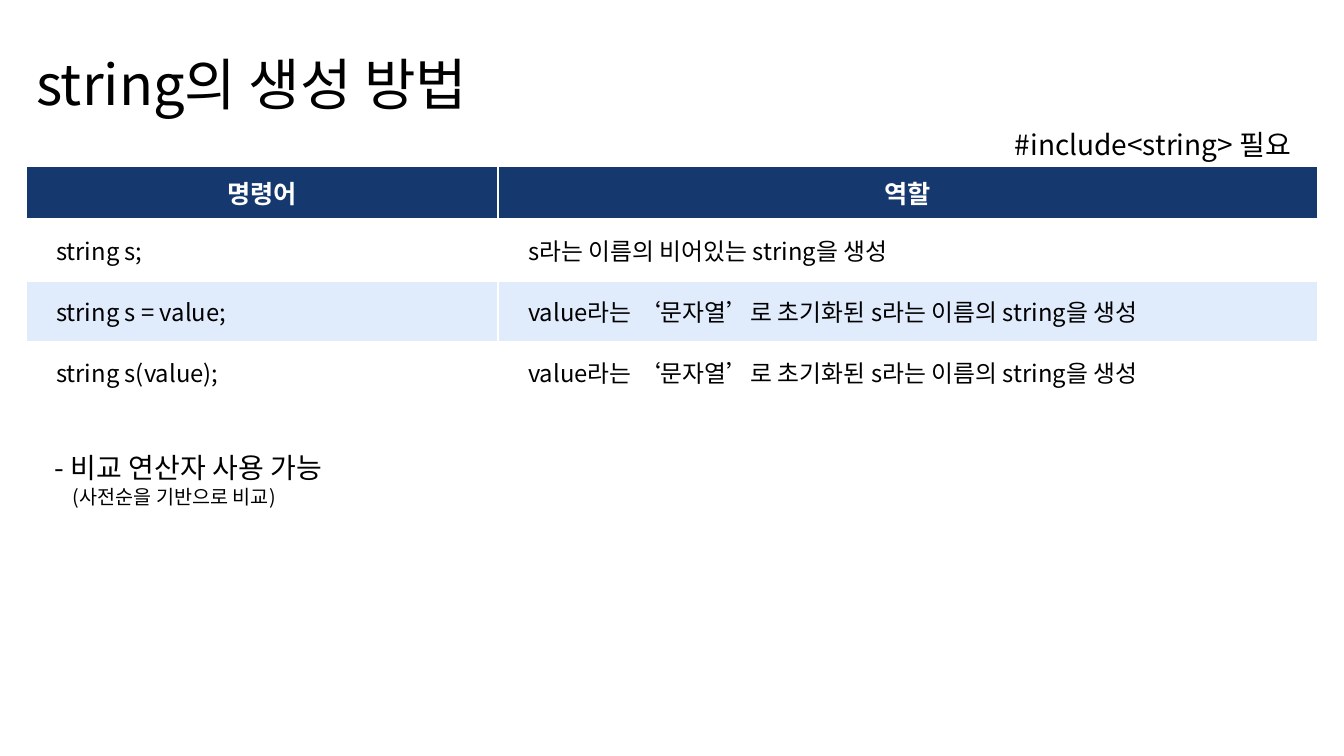
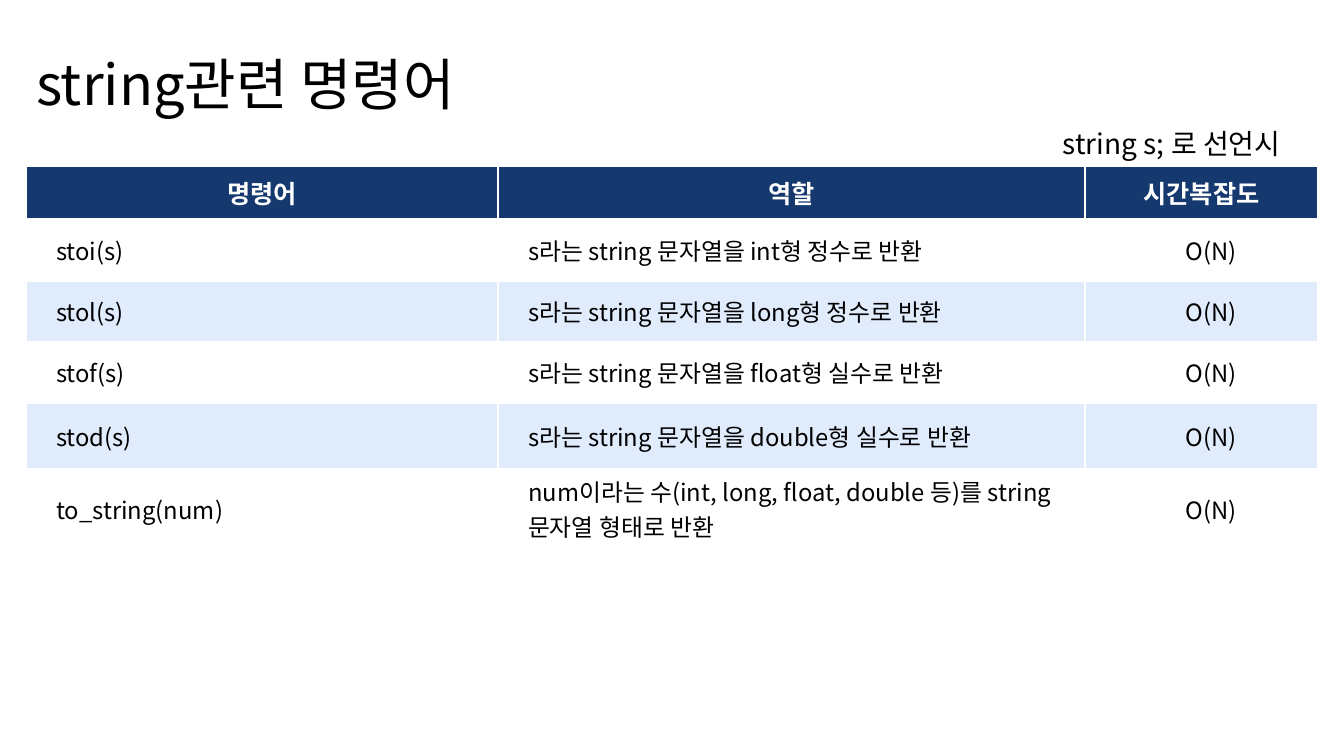
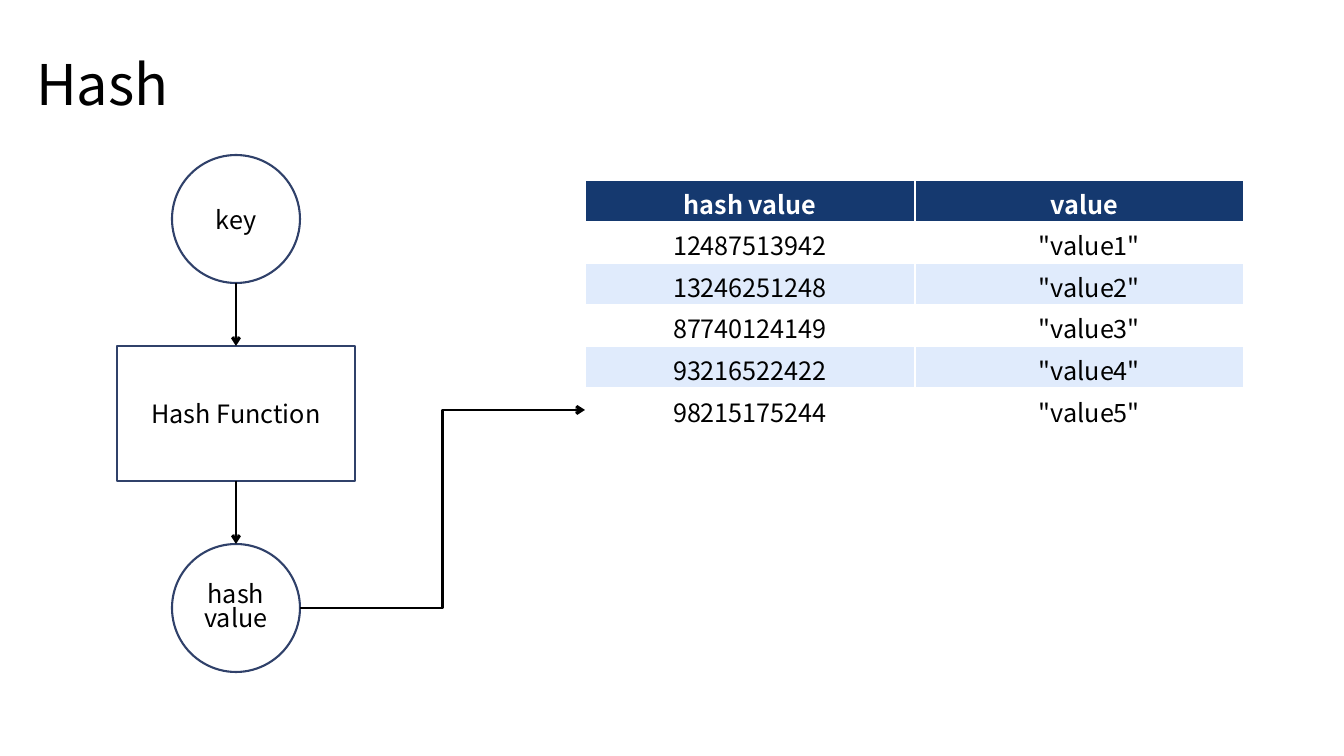
from lxml.etree import SubElement
from pptx import Presentation
from pptx.dml.color import RGBColor
from pptx.enum.shapes import MSO_CONNECTOR, MSO_SHAPE
from pptx.enum.text import MSO_ANCHOR, MSO_AUTO_SIZE, PP_ALIGN
from pptx.oxml.ns import qn
from pptx.util import Pt

SCALE = 914400 / 100.8
FONT = "Noto Sans CJK KR"
COLORS = {"text": "000000", "white": "FFFFFF", "header": "15396F",
          "band": "E0EBFC", "outline": "30416A"}
LEFT, CENTER = PP_ALIGN.LEFT, PP_ALIGN.CENTER
INDENT = 20

COMMAND_TABLE = {"at": (26, 166), "size": 17, "anchor": MSO_ANCHOR.MIDDLE}

SLIDES = [
    {
        "title": "string의 생성 방법",
        "notes": [((1005, 123, 312, 43), [("#include<string> 필요", 20, 0)]),
                  ((45, 446, 834, 66), [("- 비교 연산자 사용 가능", 20, 0),
                                        ("(사전순을 기반으로 비교)", 14, 18)])],
        "table": {
            **COMMAND_TABLE,
            "cols": [(472, LEFT, 0, INDENT), (820, LEFT, 0, INDENT)],
            "heights": [53, 62, 61, 61],
            "rows": [
                ("명령어", "역할"),
                ("string s;", "s라는 이름의 비어있는 string을 생성"),
                ("string s = value;", "value라는 ‘문자열’로 초기화된 s라는 이름의 string을 생성"),
                ("string s(value);", "value라는 ‘문자열’로 초기화된 s라는 이름의 string을 생성"),
            ],
        },
    },
    {
        "title": "string관련 명령어",
        "notes": [((1053, 122, 265, 42), [("string s; 로 선언시", 20, 0)])],
        "table": {
            **COMMAND_TABLE,
            "cols": [(472, LEFT, 0, INDENT), (587, LEFT, 0, INDENT), (233, CENTER, 0, INDENT)],
            "heights": [53, 62, 61, 61, 66, 61],
            "rows": [
                ("명령어", "역할", "시간복잡도"),
                ("stoi(s)", "s라는 string 문자열을 int형 정수로 반환", "O(N)"),
                ("stol(s)", "s라는 string 문자열을 long형 정수로 반환", "O(N)"),
                ("stof(s)", "s라는 string 문자열을 float형 실수로 반환", "O(N)"),
                ("stod(s)", "s라는 string 문자열을 double형 실수로 반환", "O(N)"),
                ("to_string(num)",
                 "num이라는 수(int, long, float, double 등)를 string 문자열 형태로 반환", "O(N)"),
            ],
        },
    },
    {
        "title": "Hash",
        "notes": [],
        "table": {
            "at": (585, 180), "size": 18, "anchor": MSO_ANCHOR.TOP, "bottom": 0,
            "cols": [(330, CENTER, 0, 0), (329, CENTER, 10, INDENT)],
            "heights": [41] * 6,
            "rows": [
                ("hash value", "value"),
                ("12487513942", '"value1"'),
                ("13246251248", '"value2"'),
                ("87740124149", '"value3"'),
                ("93216522422", '"value4"'),
                ("98215175244", '"value5"'),
            ],
        },
    },
]

FLOW = [("key", MSO_SHAPE.OVAL, 128, 128),
        ("Hash Function", MSO_SHAPE.RECTANGLE, 238, 135),
        ("hash\nvalue", MSO_SHAPE.OVAL, 128, 128)]
FLOW_CENTER, FLOW_TOP, FLOW_GAP = 236, 155, 63
LOOKUP_END = (585, 410)


def px(*values):
    return [round(v * SCALE) for v in values]


def rgb(name):
    return RGBColor.from_string(COLORS[name])


def style(p, size, color="text", bold=False, align=LEFT, indent=0):
    p.alignment = align
    if indent:
        p._p.get_or_add_pPr().set("marL", str(px(indent)[0]))
    font = p.font
    font.name, font.size, font.bold = FONT, Pt(size), bold
    font.color.rgb = rgb(color)
    SubElement(p._p.pPr.find(qn("a:defRPr")), qn("a:ea"), typeface=FONT)


def add_title(slide, text):
    sp = slide.shapes.title
    sp.left, sp.top, sp.width, sp.height = px(26, 44, 1292, 77)
    tf = sp.text_frame
    tf.text = text
    tf.word_wrap = True
    tf.auto_size = MSO_AUTO_SIZE.NONE
    tf.vertical_anchor = MSO_ANCHOR.TOP
    style(tf.paragraphs[0], 40)


def add_note(slide, box, lines):
    tf = slide.shapes.add_textbox(*px(*box)).text_frame
    tf.word_wrap = True
    for i, (text, size, indent) in enumerate(lines):
        p = tf.add_paragraph() if i else tf.paragraphs[0]
        p.text = text
        style(p, size, indent=indent)


def add_table(slide, data):
    rows, cols, heights = data["rows"], data["cols"], data["heights"]
    size = (sum(col[0] for col in cols), sum(heights))
    table = slide.shapes.add_table(len(rows), len(cols), *px(*data["at"], *size)).table
    for column, col in zip(table.columns, cols):
        column.width = px(col[0])[0]
    for r, texts in enumerate(rows):
        table.rows[r].height = px(heights[r])[0]
        header = r == 0
        fill = "header" if header else "white" if r % 2 else "band"
        for c, (_, align, header_indent, indent) in enumerate(cols):
            cell = table.cell(r, c)
            cell.text = texts[c]
            cell.vertical_anchor = data["anchor"]
            if "bottom" in data:
                cell.margin_bottom = data["bottom"]
            cell.fill.solid()
            cell.fill.fore_color.rgb = rgb(fill)
            p = cell.text_frame.paragraphs[0]
            if header:
                style(p, 18, "white", True, CENTER, header_indent)
            else:
                style(p, data["size"], align=align, indent=indent)


def add_node(slide, text, shape, x, y, w, h):
    sp = slide.shapes.add_shape(shape, *px(x, y, w, h))
    sp.shadow.inherit = False
    sp.fill.background()
    sp.line.color.rgb = rgb("outline")
    sp.line.width = Pt(1.5)
    tf = sp.text_frame
    tf.word_wrap = True
    tf.vertical_anchor = MSO_ANCHOR.MIDDLE
    p = tf.paragraphs[0]
    p.text = text
    if "\n" in text:
        p.line_spacing = 0.82
    style(p, 18, align=CENTER)
    return sp


def add_arrow(slide, kind, start, end):
    line = slide.shapes.add_connector(kind, *px(*start, *end))
    line.line.color.rgb = rgb("text")
    line.line.width = Pt(2)
    SubElement(line.line._get_or_add_ln(), qn("a:tailEnd"), type="arrow")
    SubElement(line._element.spPr, qn("a:effectLst"))
    return line


def add_flow(slide):
    nodes, y = [], FLOW_TOP
    for text, shape, w, h in FLOW:
        nodes.append((add_node(slide, text, shape, FLOW_CENTER - w / 2, y, w, h), y, w, h))
        y += h + FLOW_GAP
    for (_, top, _, h), (_, next_top, _, _) in zip(nodes, nodes[1:]):
        line = add_arrow(slide, MSO_CONNECTOR.STRAIGHT,
                         (FLOW_CENTER, top + h), (FLOW_CENTER, next_top))
        if top == FLOW_TOP:
            line.end_connect(nodes[1][0], 0)
        else:
            line.begin_connect(nodes[1][0], 2)
    _, top, w, h = nodes[-1]
    add_arrow(slide, MSO_CONNECTOR.ELBOW, (FLOW_CENTER + w / 2, top + h / 2), LOOKUP_END)


def main():
    prs = Presentation()
    prs.slide_width, prs.slide_height = px(1344, 756)
    for data in SLIDES:
        slide = prs.slides.add_slide(prs.slide_layouts[5])
        add_title(slide, data["title"])
        add_table(slide, data["table"])
        for box, lines in data["notes"]:
            add_note(slide, box, lines)
    add_flow(slide)
    prs.save("out.pptx")


if __name__ == "__main__":
    main()
